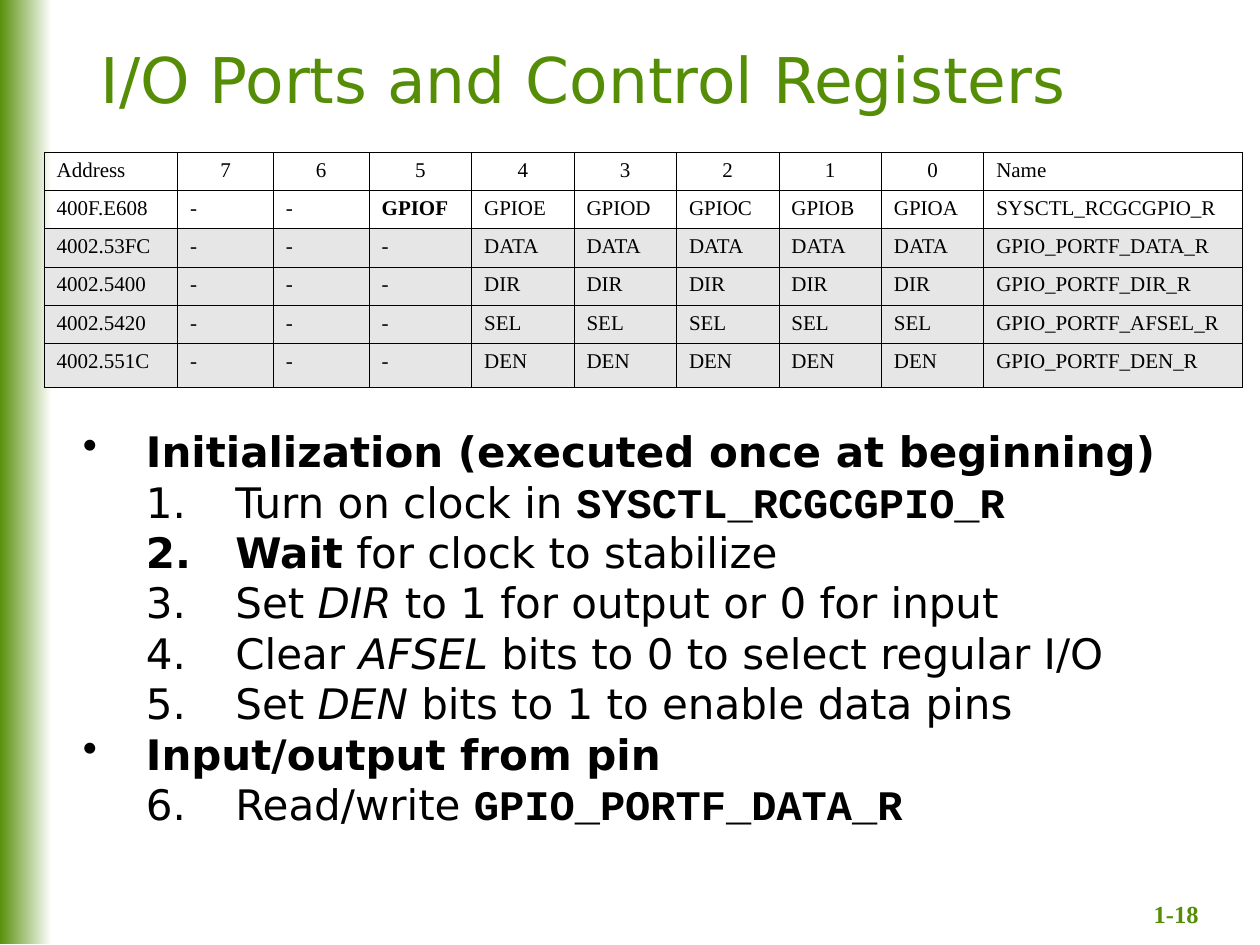
from dataclasses import dataclass

from lxml import etree
from pptx import Presentation
from pptx.dml.color import RGBColor
from pptx.enum.shapes import MSO_SHAPE
from pptx.enum.text import MSO_ANCHOR, PP_ALIGN
from pptx.oxml.ns import qn
from pptx.util import Inches, Pt

LEFT, CENTER = PP_ALIGN.LEFT, PP_ALIGN.CENTER
TOP, MIDDLE, BOTTOM = MSO_ANCHOR.TOP, MSO_ANCHOR.MIDDLE, MSO_ANCHOR.BOTTOM
RECTANGLE = MSO_SHAPE.RECTANGLE

SLIDE_WIDTH, SLIDE_HEIGHT = Inches(10), Inches(7.5)
GRID_COLUMN, GRID_ROW = SLIDE_WIDTH / 100, SLIDE_HEIGHT / 75


@dataclass(frozen=True)
class Theme:
    green: str = "558D06"
    black: str = "000000"
    white: str = "FFFFFF"
    shade: str = "E6E6E6"
    sans: str = "DejaVu Sans"
    serif: str = "Times New Roman"
    mono: str = "Courier New"
    title_size: float = 36
    body_size: float = 24
    body_leading: float = 28.8
    number_size: float = 14
    table_size: float = 12
    border_width: float = 0.45


THEME = Theme()


@dataclass(frozen=True)
class Area:
    """A rectangle in grid columns and rows."""
    column: float
    row: float
    columns: float
    rows: float

    def lengths(self) -> tuple[int, int, int, int]:
        return (round(self.column * GRID_COLUMN), round(self.row * GRID_ROW),
                round(self.columns * GRID_COLUMN), round(self.rows * GRID_ROW))


@dataclass(frozen=True)
class Piece:
    text: str
    bold: bool = False
    italic: bool = False
    font: str = THEME.sans


@dataclass(frozen=True)
class Item:
    """A list line; number is the start of its numbered list, or 0 for a bullet."""
    pieces: tuple[Piece, ...]
    number: int = 0


TITLE_AREA = Area(4.2, 2.5, 84.2, 7.5)
NUMBER_AREA = Area(87.5, 66.7, 11.7, 7.5)
BAND_AREA = Area(-0.1, -0.1, 4.2, 75)
BODY_AREA = Area(5.6, 33.3, 89.5, 33)
TABLE_AREA = Area(3.5, 12.1, 95, 18.6)

TABLE_COLUMNS = [10.6, 7.6, 7.6] + [8.13] * 6 + [20.5]
TABLE_ROWS = [3.03] * 5 + [3.5]
UNUSED_BITS = ["-"] * 3
REGISTERS = [
    ["Address", *"76543210", "Name"],
    ["400F.E608", "-", "-", *(f"GPIO{port}" for port in "FEDCBA"), "SYSCTL_RCGCGPIO_R"],
] + [
    [address, *UNUSED_BITS, *[field] * 5, f"GPIO_PORTF_{name}_R"]
    for address, field, name in [
        ("4002.53FC", "DATA", "DATA"),
        ("4002.5400", "DIR", "DIR"),
        ("4002.5420", "SEL", "AFSEL"),
        ("4002.551C", "DEN", "DEN"),
    ]
]
FIRST_SHADED_ROW = 2
BOLD_ENTRY = "GPIOF"

STEPS = [
    Item((Piece("Initialization (executed once at beginning)", bold=True),)),
    Item((Piece("Turn on clock in "),
          Piece("SYSCTL_RCGCGPIO_R", bold=True, font=THEME.mono)), 1),
    Item((Piece("Wait", bold=True), Piece(" for clock to stabilize")), 1),
    Item((Piece("Set "), Piece("DIR", italic=True),
          Piece(" to 1 for output or 0 for input")), 1),
    Item((Piece("Clear "), Piece("AFSEL", italic=True),
          Piece(" bits to 0 to select regular I/O")), 1),
    Item((Piece("Set "), Piece("DEN", italic=True),
          Piece(" bits to 1 to enable data pins")), 1),
    Item((Piece("Input/output from pin", bold=True),)),
    Item((Piece("Read/write "),
          Piece("GPIO_PORTF_DATA_R", bold=True, font=THEME.mono)), 6),
]


def add_run(paragraph, piece: Piece, size: float, color: str) -> None:
    run = paragraph.add_run()
    run.text = piece.text
    formats = {"name": piece.font, "size": Pt(size),
               "bold": piece.bold, "italic": piece.italic}
    for attribute, value in formats.items():
        setattr(run.font, attribute, value)
    run.font.color.rgb = RGBColor.from_string(color)


def add_text_frame(slide, area: Area, anchor):
    frame = slide.shapes.add_textbox(*area.lengths()).text_frame
    frame.word_wrap = True
    frame.vertical_anchor = anchor
    return frame


def add_label(slide, area: Area, anchor, piece: Piece, size: float) -> None:
    paragraph = add_text_frame(slide, area, anchor).paragraphs[0]
    paragraph.alignment = CENTER
    add_run(paragraph, piece, size, THEME.green)


def add_band(slide) -> None:
    band = slide.shapes.add_shape(RECTANGLE, *BAND_AREA.lengths())
    band.shadow.inherit = False
    band.line.fill.background()
    band.fill.gradient()
    band.fill.gradient_angle = 180
    for stop, color in zip(band.fill.gradient_stops, (THEME.white, THEME.green)):
        stop.color.rgb = RGBColor.from_string(color)


def add_solid_color(parent, color: str) -> None:
    etree.SubElement(parent, qn("a:srgbClr"), val=color)


def set_borders(cell) -> None:
    properties = cell._tc.get_or_add_tcPr()
    for side in ("a:lnL", "a:lnR", "a:lnT", "a:lnB"):
        line = etree.SubElement(properties, qn(side), w=str(Pt(THEME.border_width)))
        add_solid_color(etree.SubElement(line, qn("a:solidFill")), THEME.black)


def add_register_table(slide) -> None:
    table = slide.shapes.add_table(
        len(TABLE_ROWS), len(TABLE_COLUMNS), *TABLE_AREA.lengths()).table
    table.first_row = table.horz_banding = False
    for column, width in zip(table.columns, TABLE_COLUMNS):
        column.width = round(width * GRID_COLUMN)
    for row, height in zip(table.rows, TABLE_ROWS):
        row.height = round(height * GRID_ROW)
    for row_index, entries in enumerate(REGISTERS):
        for column_index, entry in enumerate(entries):
            cell = table.cell(row_index, column_index)
            set_borders(cell)
            if row_index >= FIRST_SHADED_ROW:
                cell.fill.solid()
                cell.fill.fore_color.rgb = RGBColor.from_string(THEME.shade)
            else:
                cell.fill.background()
            paragraph = cell.text_frame.paragraphs[0]
            is_bit_heading = row_index == 0 and entry.isdigit()
            paragraph.alignment = CENTER if is_bit_heading else LEFT
            piece = Piece(entry, bold=entry == BOLD_ENTRY, font=THEME.serif)
            add_run(paragraph, piece, THEME.table_size, THEME.black)


def set_marker(paragraph, number: int) -> None:
    """Give the paragraph a hanging bullet or automatic number."""
    margin, hanging = (12.1, 7.1) if number else (5, 5)
    paragraph.level = 1 if number else 0
    properties = paragraph._p.get_or_add_pPr()
    properties.set("marL", str(round(margin * GRID_COLUMN)))
    properties.set("indent", str(round(-hanging * GRID_COLUMN)))
    add_solid_color(etree.SubElement(properties, qn("a:buClr")), THEME.black)
    if number:
        marker = etree.SubElement(properties, qn("a:buAutoNum"), type="arabicPeriod")
        if number > 1:
            marker.set("startAt", str(number))
    else:
        etree.SubElement(properties, qn("a:buChar"), char="•")


def add_steps(slide) -> None:
    frame = add_text_frame(slide, BODY_AREA, TOP)
    for index, item in enumerate(STEPS):
        paragraph = frame.add_paragraph() if index else frame.paragraphs[0]
        paragraph.line_spacing = Pt(THEME.body_leading)
        set_marker(paragraph, item.number)
        for piece in item.pieces:
            add_run(paragraph, piece, THEME.body_size, THEME.black)


def main() -> None:
    presentation = Presentation()
    presentation.slide_width, presentation.slide_height = SLIDE_WIDTH, SLIDE_HEIGHT
    slide = presentation.slides.add_slide(presentation.slide_layouts[6])
    add_label(slide, NUMBER_AREA, BOTTOM,
              Piece("1-18", bold=True, font=THEME.serif), THEME.number_size)
    add_band(slide)
    add_label(slide, TITLE_AREA, MIDDLE,
              Piece("I/O Ports and Control Registers"), THEME.title_size)
    add_register_table(slide)
    add_steps(slide)
    presentation.save("out.pptx")


if __name__ == "__main__":
    main()
